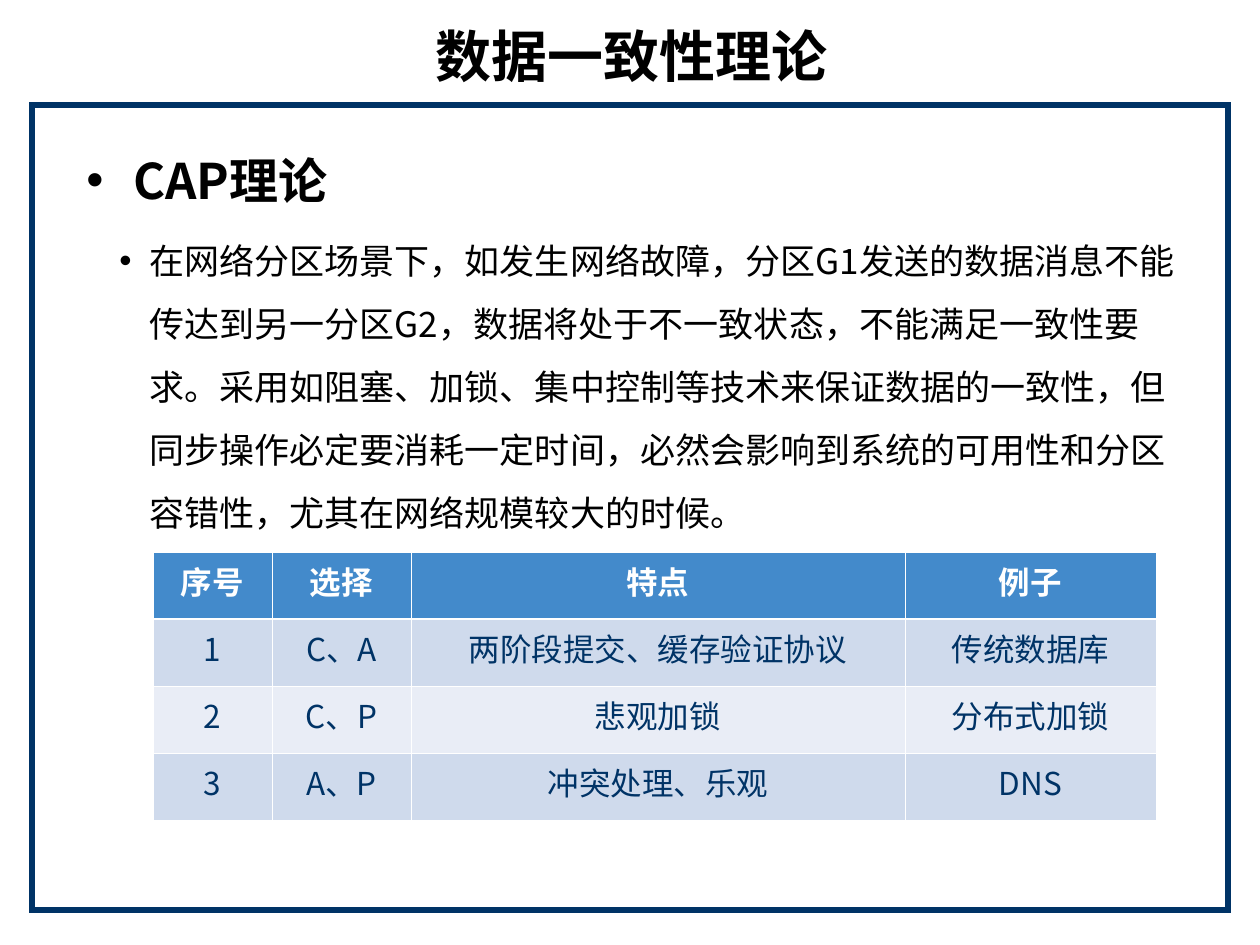
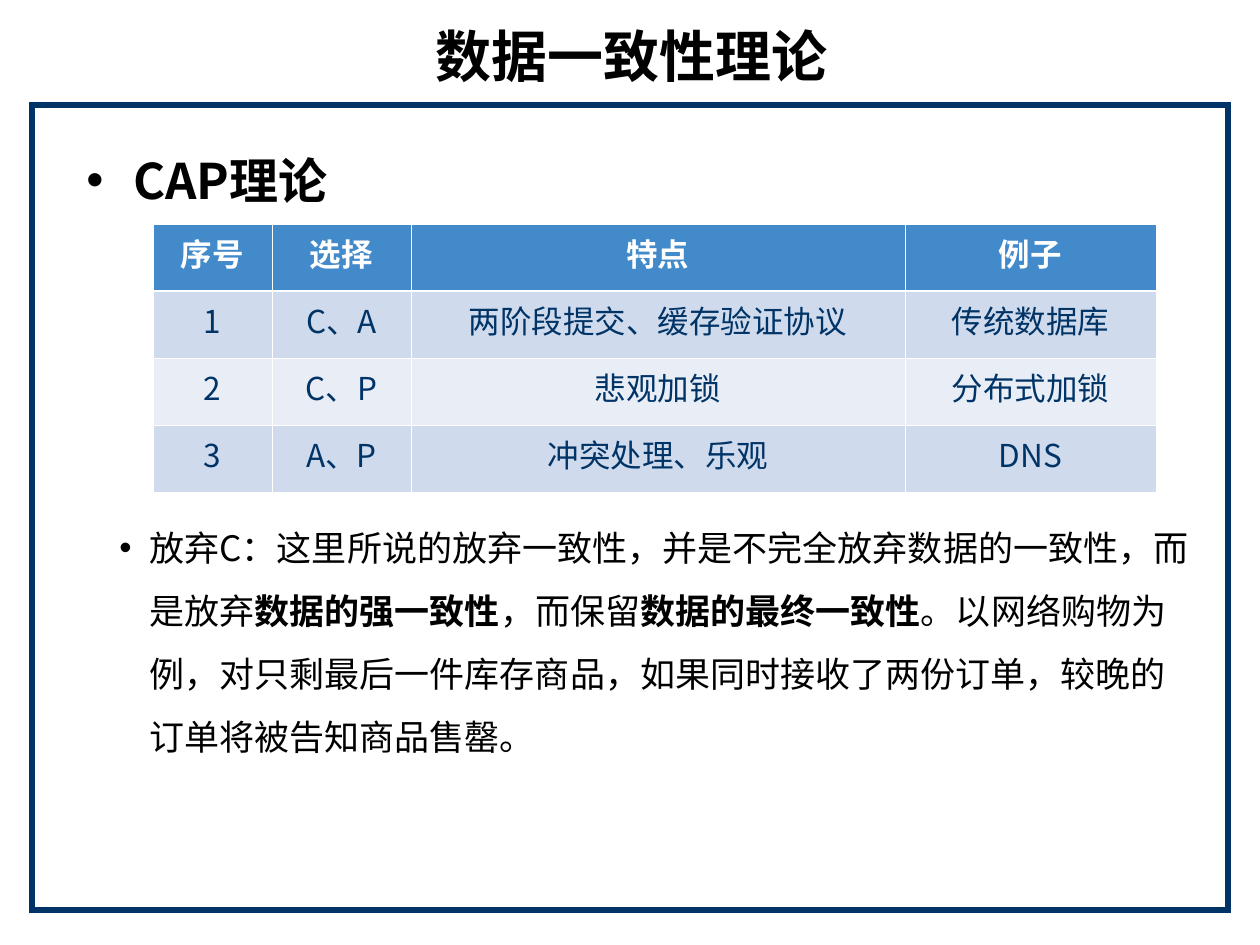
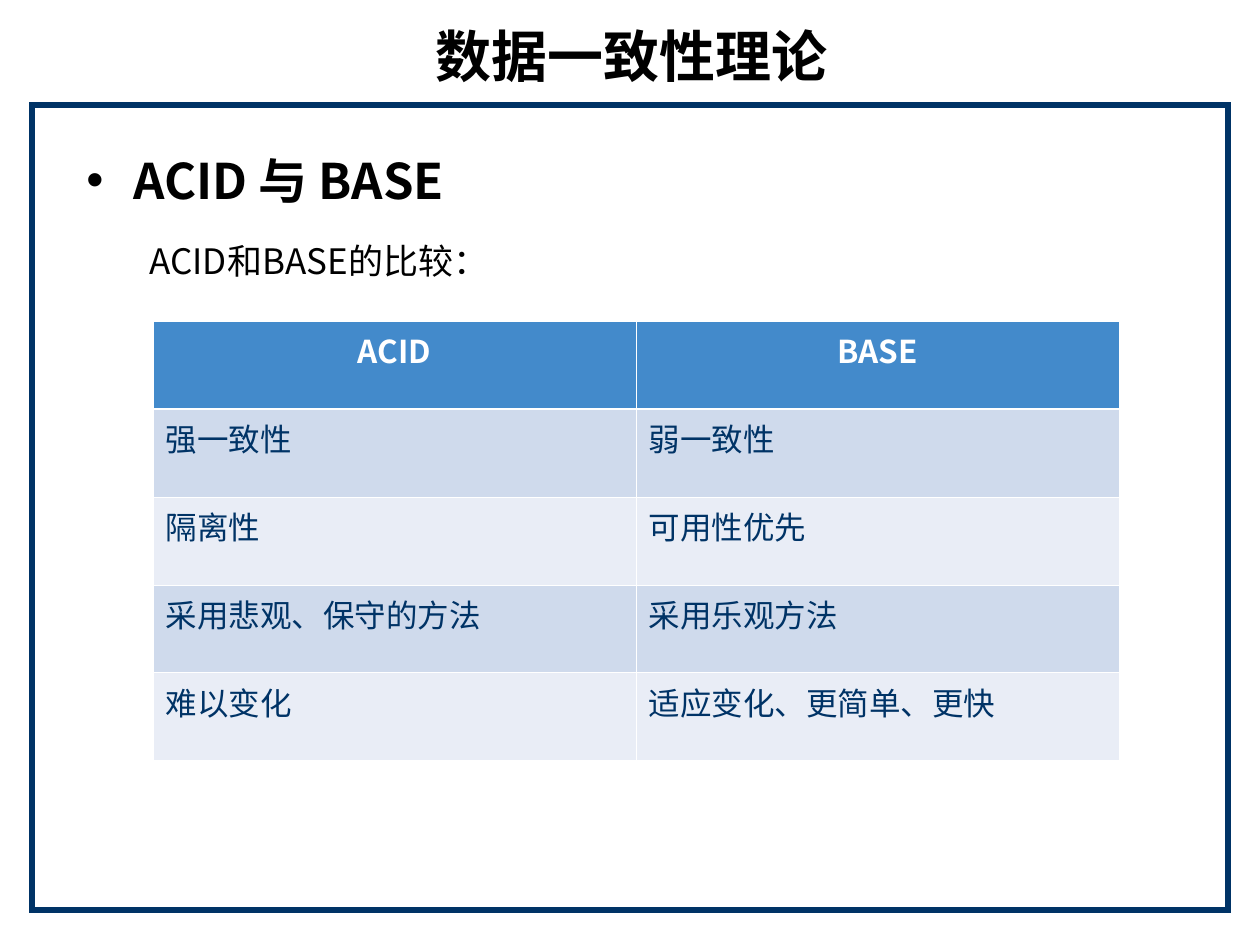
from lxml.etree import SubElement
from pptx import Presentation
from pptx.dml.color import RGBColor
from pptx.enum.shapes import MSO_SHAPE as Shape
from pptx.enum.text import MSO_ANCHOR as Anchor, PP_ALIGN as Align
from pptx.oxml.ns import qn
from pptx.util import Pt

PX = 7257.14  # EMU in one pixel at 126 pixels to the inch
COLORS = {
    "text": "000000", "white": "FFFFFF", "navy": "003366",
    "header": "438ACB", "odd row": "CFDAEC", "even row": "E9EDF6",
}
CJK_FONT = "Noto Sans CJK SC"


def px(*lengths):
    return [round(length * PX) for length in lengths]


def write(paragraph, text, size=18, color="text", bold=False, font=CJK_FONT,
          align=Align.LEFT, line_spacing=1.0, before=0, left=0, hang=0):
    """Fill a paragraph; text between ** marks is bold, a hang adds a bullet."""
    paragraph.alignment = align
    paragraph.line_spacing = line_spacing
    paragraph.space_before = Pt(before)
    margin, indent = px(left, -hang)
    props = paragraph._p.get_or_add_pPr()
    props.set("marL", str(margin))
    props.set("indent", str(indent))
    props.set("hangingPunct", "0")
    if hang:
        SubElement(props, qn("a:buFont"), typeface="Arial")
        SubElement(props, qn("a:buChar"), char="•")
    else:
        SubElement(props, qn("a:buNone"))
    for index, piece in enumerate(text.split("**")):
        run = paragraph.add_run()
        run.text = piece
        run.font.size = Pt(size)
        run.font.bold = bold or index % 2 == 1
        run.font.name = font
        run.font.color.rgb = RGBColor.from_string(COLORS[color])
        SubElement(run._r.get_or_add_rPr(), qn("a:ea"), typeface=CJK_FONT)


# Content
cap_rows = [
    ["序号", "选择", "特点", "例子"],
    ["1", "C、A", "两阶段提交、缓存验证协议", "传统数据库"],
    ["2", "C、P", "悲观加锁", "分布式加锁"],
    ["3", "A、P", "冲突处理、乐观", "DNS"],
]
acid_base_rows = [
    ["ACID", "BASE"],
    ["强一致性", "弱一致性"],
    ["隔离性", "可用性优先"],
    ["采用悲观、保守的方法", "采用乐观方法"],
    ["难以变化", "适应变化、更简单、更快"],
]
cap_table = dict(rows=cap_rows, widths=[119, 139, 494, 251], row_height=67,
                 align=Align.CENTER)
pages = [
    dict(cap_table, heading="CAP理论", before=5, hang=30, top=552,
         detail="在网络分区场景下，如发生网络故障，分区G1发送的数据消息不能传达到另一分区G2，"
                "数据将处于不一致状态，不能满足一致性要求。采用如阻塞、加锁、集中控制等技术来"
                "保证数据的一致性，但同步操作必定要消耗一定时间，必然会影响到系统的可用性和分区"
                "容错性，尤其在网络规模较大的时候。"),
    dict(cap_table, heading="CAP理论", before=169, hang=30, top=224,
         detail="放弃C：这里所说的放弃一致性，并是不完全放弃数据的一致性，而是放弃"
                "**数据的强一致性**，而保留**数据的最终一致性**。以网络购物为例，对只剩最后一件"
                "库存商品，如果同时接收了两份订单，较晚的订单将被告知商品售罄。"),
    dict(heading="ACID 与 BASE", before=5, hang=0, top=321,
         detail="ACID和BASE的比较：", rows=acid_base_rows, widths=[483, 483],
         row_height=88, align=Align.LEFT),
]

deck = Presentation()
deck.slide_width, deck.slide_height = px(1260, 945)

for page in pages:
    shapes = deck.slides.add_slide(deck.slide_layouts[6]).shapes

    # Frame with square corners
    frame = shapes.add_shape(Shape.RECTANGLE, *px(32, 105, 1196, 805))
    frame.shadow.inherit = False
    frame.fill.solid()
    frame.fill.fore_color.rgb = RGBColor.from_string(COLORS["white"])
    frame.line.color.rgb = RGBColor.from_string(COLORS["navy"])
    frame.line.width = Pt(3)
    SubElement(frame.line._get_or_add_ln(), qn("a:miter"), lim="800000")

    # Heading and detail
    body = shapes.add_textbox(*px(74, 115, 1134, 755)).text_frame
    body.word_wrap = True
    write(body.paragraphs[0], page["heading"], size=28, bold=True,
          line_spacing=1.5, left=47, hang=47)
    write(body.add_paragraph(), page["detail"], size=20, line_spacing=1.5,
          before=page["before"], left=63, hang=page["hang"])

    # Title
    title = shapes.add_textbox(*px(35, 16, 1194, 78)).text_frame
    title.word_wrap = True
    title.vertical_anchor = Anchor.MIDDLE
    write(title.paragraphs[0], "数据一致性理论", size=32, bold=True,
          font="DejaVu Sans", align=Align.CENTER)

    # Comparison table
    rows, widths = page["rows"], page["widths"]
    table = shapes.add_table(
        len(rows), len(widths),
        *px(153, page["top"], sum(widths), page["row_height"] * len(rows))).table
    for column, width in zip(table.columns, px(*widths)):
        column.width = width
    for r, row in enumerate(rows):
        table.rows[r].height = px(page["row_height"])[0]
        is_header = r == 0
        fill = "header" if is_header else "odd row" if r % 2 else "even row"
        for c, text in enumerate(row):
            cell = table.cell(r, c)
            # White borders, heavier between header and first row
            for side in "LRTB":
                heavy = (r, side) in [(0, "B"), (1, "T")]
                border = SubElement(cell._tc.get_or_add_tcPr(), qn("a:ln" + side),
                                    w=str(Pt(1.47 if heavy else 0.45)))
                SubElement(SubElement(border, qn("a:solidFill")),
                           qn("a:srgbClr"), val=COLORS["white"])
            cell.fill.solid()
            cell.fill.fore_color.rgb = RGBColor.from_string(COLORS[fill])
            write(cell.text_frame.paragraphs[0], text, bold=is_header,
                  color="white" if is_header else "navy",
                  align=Align.CENTER if is_header else page["align"])

deck.save("out.pptx")
